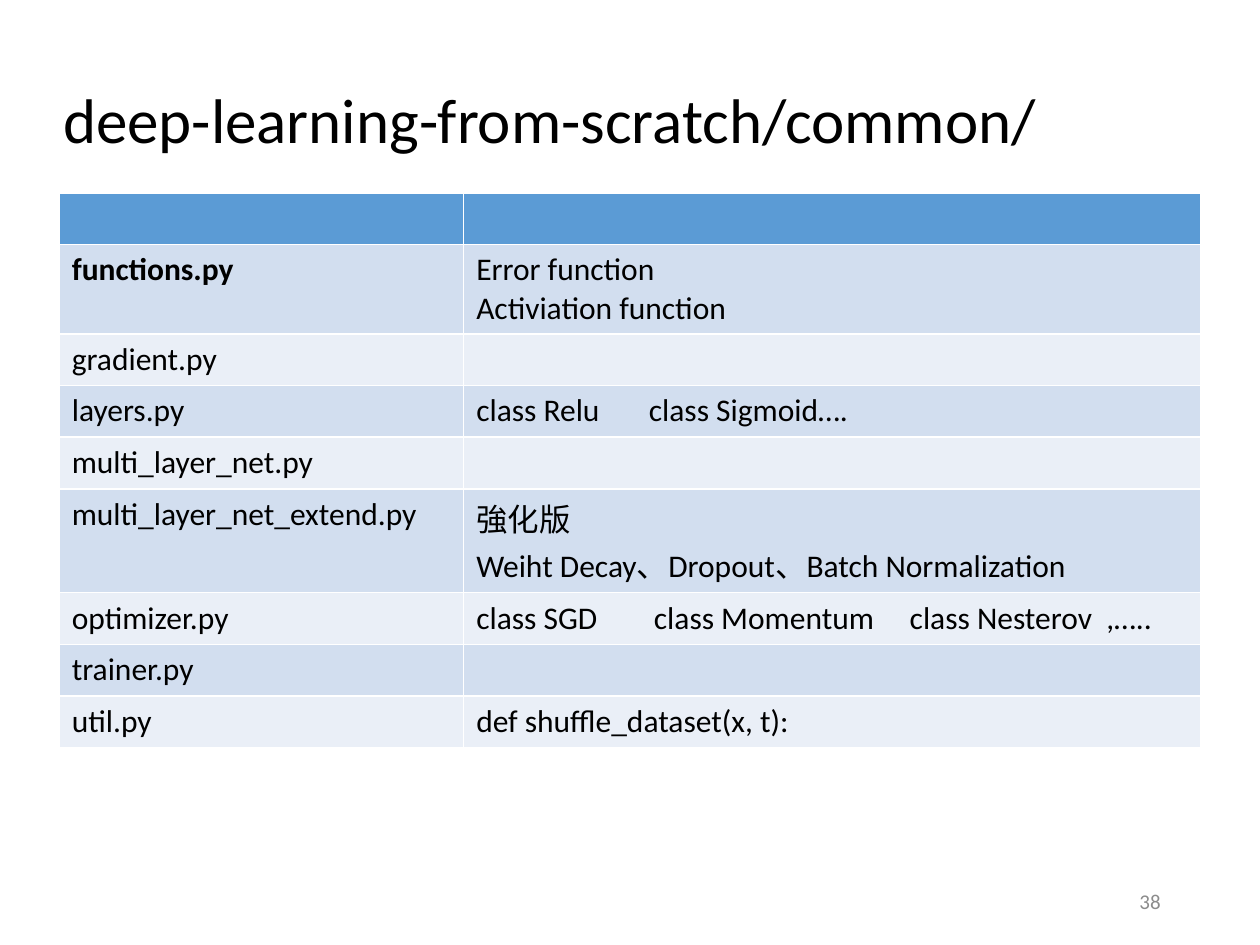
from dataclasses import dataclass

from lxml.etree import SubElement
from pptx import Presentation
from pptx.dml.color import RGBColor
from pptx.enum.text import MSO_ANCHOR as Anchor, MSO_AUTO_SIZE as AutoSize, PP_ALIGN as Align
from pptx.oxml.ns import qn
from pptx.util import Inches, Pt


@dataclass(frozen=True)
class Theme:
    font: str = "Calibri"
    ink: str = "000000"
    muted: str = "8C8C8C"
    header: str = "5B9BD5"
    bands: tuple = ("D2DEEF", "EAEFF7")
    border: str = "FFFFFF"
    border_width: int = 1
    title_size: int = 36
    body_size: int = 18
    number_size: int = 12


THEME = Theme()
COLUMN_WIDTHS = (3.21, 5.85)
ROW_HEIGHT = 0.41

# File name, lines of its description, tab stops in inches
FILES = [
    ("functions.py", ["Error function", "Activiation function"], ()),
    ("gradient.py", [], ()),
    ("layers.py", ["class Relu\tclass Sigmoid…."], (1.37,)),
    ("multi_layer_net.py", [], ()),
    ("multi_layer_net_extend.py",
     ["強化版", "Weiht Decay、Dropout、Batch Normalization"], ()),
    ("optimizer.py", ["class SGD\tclass Momentum\tclass Nesterov\t,….."],
     (1.41, 3.44, 5.0)),
    ("trainer.py", [], ()),
    ("util.py", ["def shuffle_dataset(x, t):"], ()),
]


def set_attributes(target, values):
    for name, value in values.items():
        setattr(target, name, value)


def write_paragraph(paragraph, text, size, color=THEME.ink, bold=False, align=Align.LEFT):
    paragraph.alignment = align
    paragraph.text = text
    for run in paragraph.runs:
        set_attributes(run.font, {"name": THEME.font, "size": Pt(size), "bold": bold})
        run.font.color.rgb = RGBColor.from_string(color)


def add_tab_stops(paragraph, stops):
    tab_list = SubElement(paragraph._p.get_or_add_pPr(), qn("a:tabLst"))
    for stop in stops:
        SubElement(tab_list, qn("a:tab"), pos=str(Inches(stop)), algn="l")


def style_cell(cell, fill):
    """Border the cell on all sides, then fill it."""
    properties = cell._tc.get_or_add_tcPr()
    for side in ("lnL", "lnR", "lnT", "lnB"):
        line = SubElement(properties, qn(f"a:{side}"), w=str(Pt(THEME.border_width)))
        solid = SubElement(line, qn("a:solidFill"))
        SubElement(solid, qn("a:srgbClr"), val=THEME.border)
    cell.fill.solid()
    cell.fill.fore_color.rgb = RGBColor.from_string(fill)


def write_cell(cell, lines, stops=(), bold=False):
    frame = cell.text_frame
    for index, line in enumerate(lines):
        paragraph = frame.add_paragraph() if index else frame.paragraphs[0]
        if stops:
            add_tab_stops(paragraph, stops)
        write_paragraph(paragraph, line, THEME.body_size, bold=bold)


def place_title(slide, text, left, top, width, height):
    title = slide.shapes.title
    set_attributes(title, {"left": left, "top": top, "width": width, "height": height})
    set_attributes(title.text_frame, {"word_wrap": False, "auto_size": AutoSize.NONE,
                                      "vertical_anchor": Anchor.TOP})
    write_paragraph(title.text_frame.paragraphs[0], text, THEME.title_size)


def add_file_table(slide, left, top, width, height):
    table = slide.shapes.add_table(len(FILES) + 1, len(COLUMN_WIDTHS),
                                   left, top, width, height).table
    for column, column_width in zip(table.columns, COLUMN_WIDTHS):
        column.width = Inches(column_width)
    for index, row in enumerate(table.rows):
        row.height = Inches(ROW_HEIGHT)
        fill = THEME.bands[(index - 1) % 2] if index else THEME.header
        for cell in row.cells:
            style_cell(cell, fill)
    for index, (name, lines, stops) in enumerate(FILES, start=1):
        write_cell(table.cell(index, 0), [name], bold=index == 1)
        write_cell(table.cell(index, 1), lines, stops)


def add_page_number(slide, text, left, top, width, height):
    frame = slide.shapes.add_textbox(left, top, width, height).text_frame
    set_attributes(frame, {"word_wrap": True, "vertical_anchor": Anchor.MIDDLE})
    write_paragraph(frame.paragraphs[0], text, THEME.number_size, THEME.muted,
                    align=Align.RIGHT)


def main():
    presentation = Presentation()
    presentation.slide_width, presentation.slide_height = Inches(10), Inches(7.5)
    slide = presentation.slides.add_slide(presentation.slide_layouts[5])
    place_title(slide, "deep-learning-from-scratch/common/",
                Inches(0.4), Inches(0.59), Inches(8), Inches(0.71))
    add_file_table(slide, Inches(0.47), Inches(1.53), Inches(sum(COLUMN_WIDTHS)),
                   Inches(ROW_HEIGHT * (len(FILES) + 1)))
    add_page_number(slide, "38", Inches(7.06), Inches(6.95), Inches(2.25), Inches(0.4))
    presentation.save("out.pptx")


if __name__ == "__main__":
    main()
